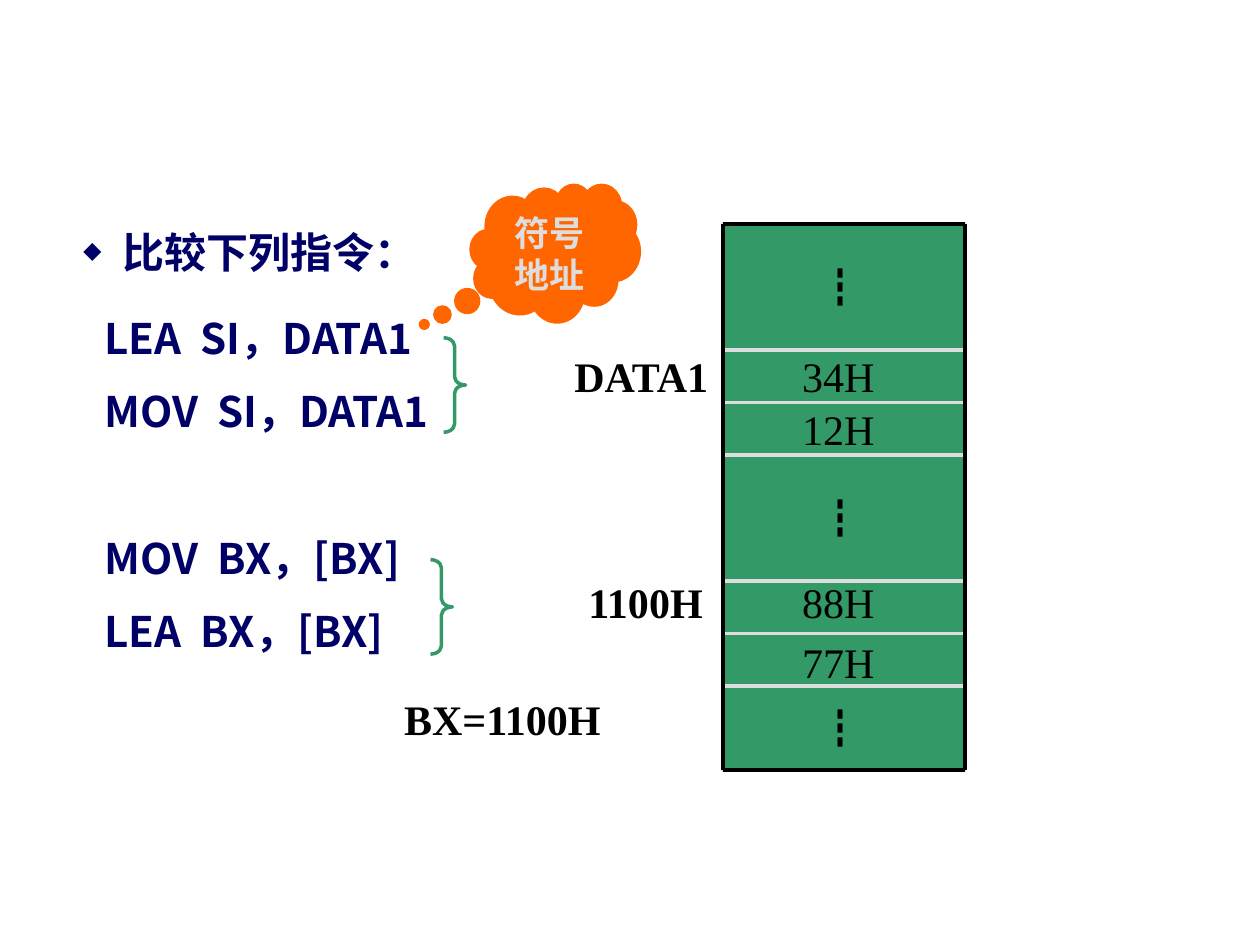
import itertools

import pptx
import pptx.dml.color
import pptx.enum.shapes
import pptx.enum.text
import pptx.oxml.ns
import pptx.util
from lxml import etree

Pt = pptx.util.Pt
KIND = pptx.enum.shapes.MSO_SHAPE
SANS, SERIF = "Noto Sans CJK SC", "Times New Roman"
NAVY, GREEN, GREY, BLACK, ORANGE = "000066", "339966", "DDDDDD", "000000", "FF6600"


def rgb(code):
    return pptx.dml.color.RGBColor.from_string(code)


def add_tag(parent, tag, **attrs):
    return etree.SubElement(parent, pptx.oxml.ns.qn(tag), attrs)


def set_all(target, values):
    for name, value in values.items():
        setattr(target, name, value)


def style(para, size, face, color, bold=False):
    for run in para.runs:
        set_all(run.font, {"size": Pt(size), "name": face, "bold": bold})
        run.font.color.rgb = rgb(color)
        add_tag(run.font._element, "a:ea", typeface=SANS)


def add_label(slide, text, left, top, width, face=SERIF, bold=False):
    box = slide.shapes.add_textbox(Pt(left), Pt(top), Pt(width), Pt(36))
    box.text_frame.word_wrap = True
    para = box.text_frame.paragraphs[0]
    para.text = text
    style(para, 24, face, BLACK, bold)


def add_rule(slide, start, end, color):
    line = slide.shapes.add_connector(
        pptx.enum.shapes.MSO_CONNECTOR.STRAIGHT, *map(Pt, start + end))
    line.line.color.rgb = rgb(color)
    line.line.width = Pt(2)
    add_tag(line._element.spPr, "a:effectLst")


def add_form(slide, kind, box, fill, edge, adjust=()):
    form = slide.shapes.add_shape(kind, *map(Pt, box))
    form.shadow.inherit = False
    if fill:
        form.fill.solid()
        form.fill.fore_color.rgb = rgb(fill)
    else:
        form.fill.background()
    form.line.color.rgb = rgb(edge)
    form.line.width = Pt(2)
    for index, value in enumerate(adjust):
        form.adjustments[index] = value
    return form


def add_code(slide, box):
    left, top = box[:2]
    body = slide.placeholders[1]
    set_all(body, dict(zip(("left", "top", "width", "height"), map(Pt, box))))
    frame = body.text_frame
    set_all(frame, {"word_wrap": True,
                    "auto_size": pptx.enum.text.MSO_AUTO_SIZE.NONE,
                    "vertical_anchor": pptx.enum.text.MSO_ANCHOR.TOP})
    rows = [
        ("比较下列指令：", 0, 7.2),
        ("LEA  SI，DATA1", 7.4, 0),
        ("MOV  SI，DATA1", 7.4, 0),
        ("MOV  BX，[BX]", 49.1, 0),
        ("LEA  BX，[BX]", 7.4, 0),
    ]
    frame.text = "\n".join(row[0] for row in rows)
    for index, (para, (_, before, after)) in enumerate(zip(frame.paragraphs, rows)):
        set_all(para, {"line_spacing": 1.2, "space_before": Pt(before),
                       "space_after": Pt(after)})
        props = para._p.get_or_add_pPr()
        margin, indent = (16.5, 0) if index else (27, -22.4)
        props.set("marL", str(Pt(margin)))
        props.set("indent", str(Pt(indent)))
        if index:
            add_tag(props, "a:buNone")
        else:
            add_tag(add_tag(props, "a:buClr"), "a:srgbClr", val=NAVY)
            add_tag(props, "a:buSzPct", val="44000")
            add_tag(props, "a:buFont", typeface=SANS)
            add_tag(props, "a:buChar", char="◆")
        style(para, 24, SANS, NAVY, True)
    for across, down in ((217.5, 73), (210, 199.8)):
        add_form(slide, KIND.RIGHT_BRACE, (left + across, top + down, 12.5, 54),
                 None, GREEN, (0.375, 0.5))


def add_memory(slide, box):
    left, top, width, height = box
    right, bottom = left + width, top + height
    add_form(slide, KIND.RECTANGLE, box, GREEN, GREY)
    cells = [("┇", 72, 0), ("34H", 30, 0), ("12H", 30, 0), ("┇", 72, 0),
             ("88H", 30, -3), ("77H", 30, 1), ("┇", 48, 0)]
    names = {"34H": ("DATA1", -92.2), "88H": ("1100H", -84.2)}
    edges = list(itertools.accumulate((cell[1] for cell in cells), initial=top))
    for edge in edges[1:-1]:
        add_rule(slide, (left, edge), (right, edge), GREY)
    for (text, tall, nudge), edge in zip(cells, edges):
        y = edge + tall / 2 - 18 + nudge
        if text == "┇":
            add_label(slide, text, left + 47.8, y, 48, SANS)
        else:
            add_label(slide, text, left + 38, y, 60)
        if text in names:
            name, shift = names[text]
            add_label(slide, name, left + shift, y, 96, bold=True)
    corners = [(left, top), (right, top), (right, bottom), (left, bottom)]
    for start, end in zip(corners, corners[1:] + corners[:1]):
        add_rule(slide, start, end, BLACK)


def add_cloud(slide, box):
    cloud = add_form(slide, KIND.CLOUD_CALLOUT, box, ORANGE, ORANGE, (-0.78, 0.522))
    frame = cloud.text_frame
    set_all(frame, {"word_wrap": True,
                    "vertical_anchor": pptx.enum.text.MSO_ANCHOR.TOP})
    para = frame.paragraphs[0]
    para.text = "符号地址"
    para.alignment = pptx.enum.text.PP_ALIGN.CENTER
    style(para, 20, SERIF, GREY, True)


def main():
    deck = pptx.Presentation()
    set_all(deck, {"slide_width": Pt(720), "slide_height": Pt(540)})
    slide = deck.slides.add_slide(deck.slide_layouts[1])
    title = slide.shapes.title._element
    title.getparent().remove(title)
    add_code(slide, (36, 120, 660, 378))
    add_memory(slide, (413.3, 128, 138.2, 312))
    add_label(slide, "BX=1100H", 223.8, 393, 132, bold=True)
    add_cloud(slide, (269.3, 105.7, 96, 78))
    deck.save("out.pptx")


if __name__ == "__main__":
    main()
